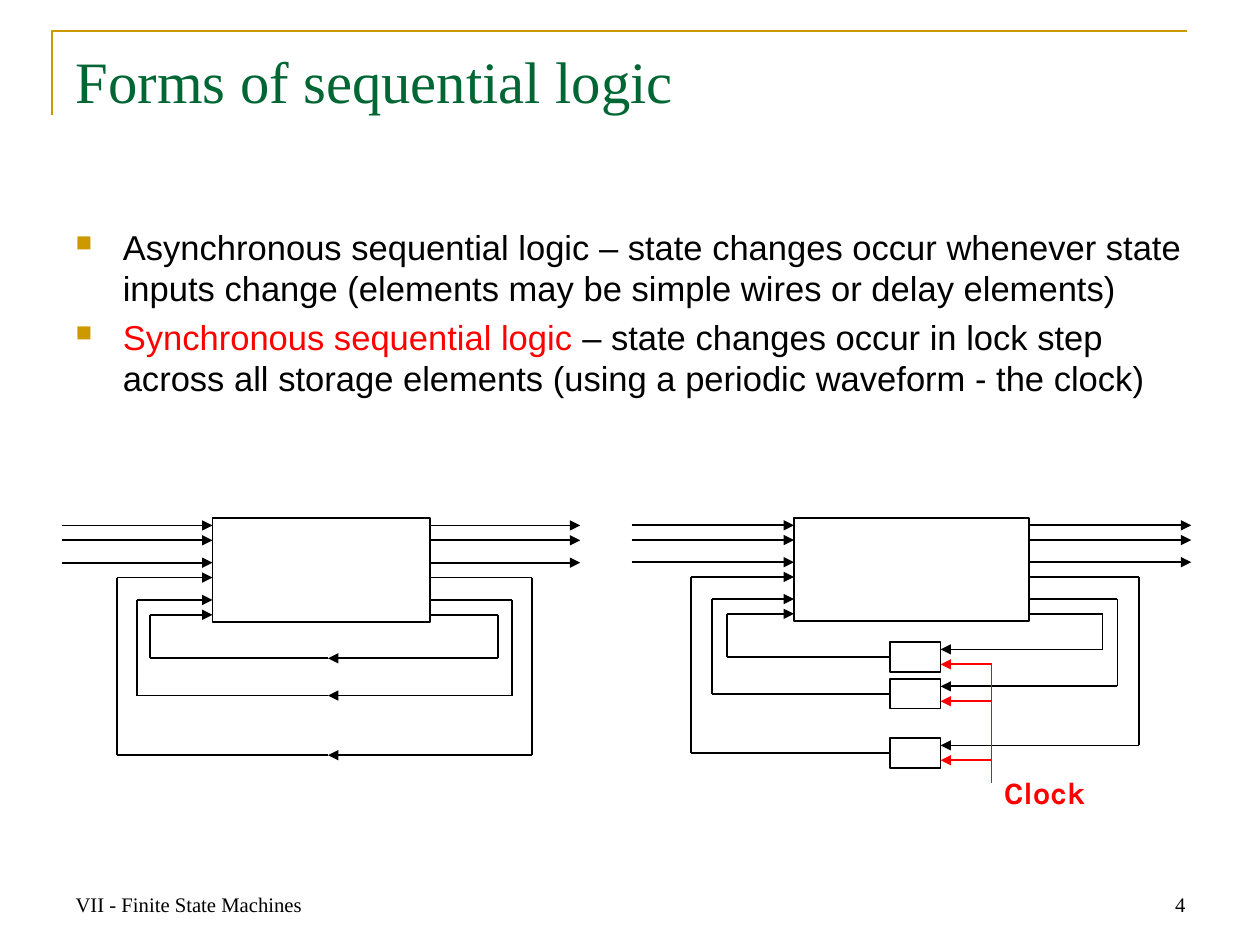
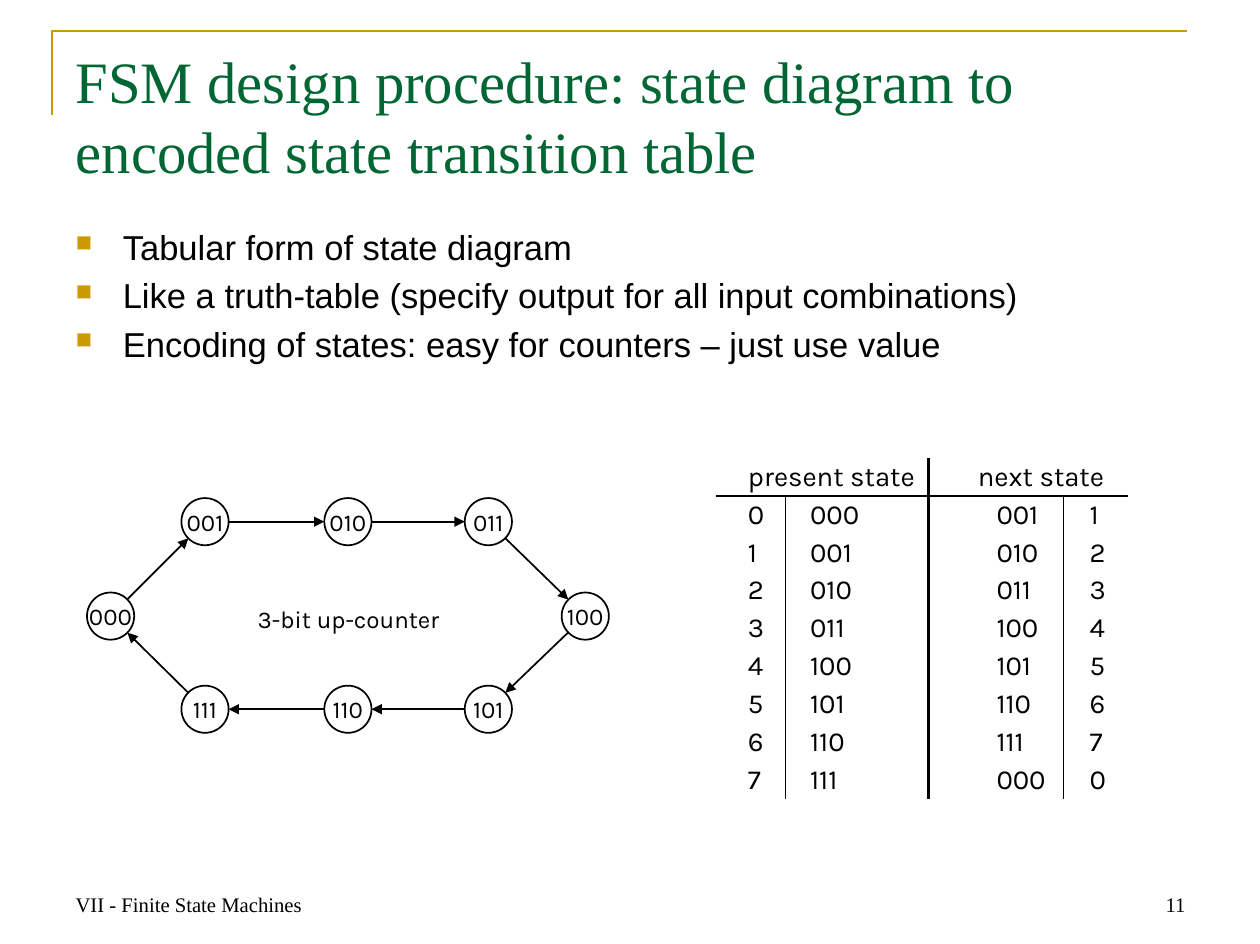
"""Build two slides on sequential logic and finite state machines."""
import math
from dataclasses import dataclass
from typing import Any, NamedTuple, Optional

from lxml import etree
from pptx import Presentation, util as u
from pptx.dml.color import RGBColor
from pptx.enum import shapes, text
from pptx.oxml.ns import qn

CELL = u.Inches(0.1)
COLS, ROWS = 101.4, 76
GOLD = RGBColor(0xCC, 0x99, 0x00)
GREEN = RGBColor(0x00, 0x66, 0x33)
RED = RGBColor(0xFF, 0x00, 0x00)
BLACK = RGBColor(0x00, 0x00, 0x00)
WHITE = RGBColor(0xFF, 0xFF, 0xFF)
SERIF, SANS, HAND = "Times New Roman", "Arial", "Karla"
LEFT, CENTER, RIGHT = text.PP_ALIGN.LEFT, text.PP_ALIGN.CENTER, text.PP_ALIGN.RIGHT
TOP, MIDDLE, BOTTOM = text.MSO_ANCHOR.TOP, text.MSO_ANCHOR.MIDDLE, text.MSO_ANCHOR.BOTTOM
RECT, OVAL = shapes.MSO_SHAPE.RECTANGLE, shapes.MSO_SHAPE.OVAL


class Font(NamedTuple):
    name: str
    size: int
    color: RGBColor = BLACK
    bold: bool = False


class Box(NamedTuple):
    col: float
    row: float
    cols: float
    rows: float


class Point(NamedTuple):
    col: float
    row: float


@dataclass
class Circuit:
    box_left: float
    box_width: float
    scale_x: float = 1.0
    scale_y: float = 1.0
    clocked: bool = False


@dataclass
class Loop:
    port: float
    depth: float
    left: float
    right: float


@dataclass
class Column:
    width: float
    indent: float
    values: list[str]
    rule: float = 0


TITLE = Font(SERIF, 34, GREEN)
BODY = Font(SANS, 20)
FOOTER = Font(SERIF, 12)
CLOCK = Font(HAND, 18, RED, True)
STATE = Font(HAND, 14)
ENTRY = Font(HAND, 16)

CIRCUIT_ROW, BOX_HEIGHT, WIRE = 41.7, 8.4, 12.1
SIGNALS = (0.6, 1.8, 3.6)
LOOPS = [Loop(4.8, 19.1, 7.7, 8.2), Loop(6.6, 14.3, 6.1, 6.6), Loop(7.8, 11.3, 5, 5.5)]
CIRCUITS = [Circuit(17.1, 17.5), Circuit(63.9, 18.9, 1.08, 0.99, True)]

TOP_ROW, MID_ROW, LOW_ROW = 42, 49.6, 57.1
STATES = {
    "000": Point(8.9, MID_ROW), "001": Point(16.5, TOP_ROW),
    "010": Point(28, TOP_ROW), "011": Point(39.3, TOP_ROW),
    "100": Point(47.1, MID_ROW), "101": Point(39.3, LOW_ROW),
    "110": Point(28, LOW_ROW), "111": Point(16.5, LOW_ROW),
}
RADIUS = 1.9


def cells(*values: float) -> list[int]:
    return [round(v * CELL) for v in values]


def add_run(p: Any, words: str, font: Font) -> None:
    r = p.add_run()
    r.text = words
    for name, value in {"name": font.name, "size": u.Pt(font.size), "bold": font.bold}.items():
        setattr(r.font, name, value)
    r.font.color.rgb = font.color


def format_frame(tf: Any, anchor: Any = TOP, margins: tuple = (1, 0.5), wrap: bool = True) -> None:
    side, edge = cells(*margins)
    values = {"word_wrap": wrap, "auto_size": text.MSO_AUTO_SIZE.NONE, "vertical_anchor": anchor,
              "margin_left": side, "margin_right": side, "margin_top": edge, "margin_bottom": edge}
    for name, value in values.items():
        setattr(tf, name, value)


def add_text(s: Any, box: Box, words: str, font: Font, align: Any = LEFT, anchor: Any = TOP) -> None:
    tf = s.shapes.add_textbox(*cells(*box)).text_frame
    format_frame(tf, anchor)
    tf.paragraphs[0].alignment = align
    add_run(tf.paragraphs[0], words, font)


def add_outline(s: Any, kind: Any, box: Box, fill: Optional[RGBColor] = None) -> Any:
    sp = s.shapes.add_shape(kind, *cells(*box))
    sp.shadow.inherit = False
    if fill is None:
        sp.fill.background()
    else:
        sp.fill.solid()
        sp.fill.fore_color.rgb = fill
    sp.line.color.rgb = BLACK
    sp.line.width = u.Pt(1)
    return sp


def add_line(s: Any, start: Point, end: Point, arrow: bool = False, color: RGBColor = BLACK) -> Any:
    line = s.shapes.add_connector(shapes.MSO_CONNECTOR.STRAIGHT, *cells(*start, *end))
    line.line.color.rgb = color
    line.line.width = u.Pt(1)
    props = line._element.spPr
    if arrow:
        etree.SubElement(props.find(qn("a:ln")), qn("a:tailEnd"), type="triangle")
    etree.SubElement(props, qn("a:effectLst"))
    return line


def add_base(prs: Any, title: str, number: int) -> Any:
    s = prs.slides.add_slide(prs.slide_layouts[5])
    builder = s.shapes.build_freeform(*cells(4.2, 9.3), scale=1.0)
    builder.add_line_segments([cells(4.2, 2.5), cells(95.5, 2.5)], close=False)
    frame = builder.convert_to_shape()
    frame.shadow.inherit = False
    frame.fill.background()
    frame.line.color.rgb = GOLD
    frame.line.width = u.Pt(1.5)

    sp = s.shapes.title
    sp.left, sp.top, sp.width, sp.height = cells(5.1, 3.1, 91.2, 12.6)
    format_frame(sp.text_frame)
    p = sp.text_frame.paragraphs[0]
    p.alignment = LEFT
    add_run(p, title, TITLE)

    add_text(s, Box(5.1, 69.2, 23.7, 5.1), "VII - Finite State Machines", FOOTER, anchor=BOTTOM)
    add_text(s, Box(72.7, 69.2, 23.7, 5.1), str(number), FOOTER, RIGHT, BOTTOM)
    return s


def add_bullets(s: Any, bullets: list[list[tuple[str, RGBColor]]]) -> None:
    tf = s.shapes.add_textbox(*cells(5.1, 17.7, 91.2, 50.2)).text_frame
    format_frame(tf)
    for i, parts in enumerate(bullets):
        p = tf.add_paragraph() if i else tf.paragraphs[0]
        p.space_before = u.Pt(4 if i else 0)
        props = p._p.get_or_add_pPr()
        indent = cells(3.8)[0]
        props.set("marL", str(indent))
        props.set("indent", str(-indent))
        tint = etree.SubElement(props, qn("a:buClr"))
        etree.SubElement(tint, qn("a:srgbClr"), val=str(GOLD))
        etree.SubElement(props, qn("a:buSzPct"), val="65000")
        etree.SubElement(props, qn("a:buChar"), char="■")
        for words, color in parts:
            add_run(p, words, BODY._replace(color=color))


def draw_circuit(s: Any, c: Circuit) -> None:
    box_right = c.box_left + c.box_width
    wire = WIRE * c.scale_x
    add_outline(s, RECT, Box(c.box_left, CIRCUIT_ROW, c.box_width, BOX_HEIGHT * c.scale_y))
    for signal in SIGNALS:
        row = CIRCUIT_ROW + signal * c.scale_y
        for col in (c.box_left - wire, box_right):
            add_line(s, Point(col, row), Point(col + wire, row), True)
    for loop in LOOPS:
        port = CIRCUIT_ROW + loop.port * c.scale_y
        depth = CIRCUIT_ROW + loop.depth * c.scale_y
        left = c.box_left - loop.left * c.scale_x
        right = box_right + loop.right * c.scale_x
        back = depth - 0.6 if c.clocked else depth
        middle = 75.7 if c.clocked else 26.4
        add_line(s, Point(box_right, port), Point(right, port))
        add_line(s, Point(right, port), Point(right, back))
        add_line(s, Point(right, back), Point(middle, back), True)
        out = add_line(s, Point(left, depth), Point(middle, depth))
        add_line(s, Point(left, depth), Point(left, port))
        add_line(s, Point(left, port), Point(c.box_left, port), True)
        if c.clocked:
            register = add_outline(s, RECT, Box(71.6, depth - 1.2, 4.1, 2.4))
            out.end_connect(register, 1)
            add_line(s, Point(79.8, depth + 0.6), Point(middle, depth + 0.6), True, RED)
    if c.clocked:
        first = CIRCUIT_ROW + LOOPS[-1].depth * c.scale_y + 0.6
        add_line(s, Point(79.8, first), Point(79.8, 63), color=RED)
        add_text(s, Box(79.8, 61.8, 12, 4), "Clock", CLOCK)


def draw_states(s: Any) -> None:
    for name, at in STATES.items():
        box = Box(at.col - RADIUS, at.row - RADIUS, 2 * RADIUS, 2 * RADIUS)
        tf = add_outline(s, OVAL, box, WHITE).text_frame
        format_frame(tf, MIDDLE, (0, 0), False)
        tf.paragraphs[0].alignment = CENTER
        add_run(tf.paragraphs[0], name, STATE)
    ring = list(STATES.values())
    for a, b in zip(ring, ring[1:] + ring[:1]):
        reach = RADIUS / math.dist(a, b)
        dx, dy = (b.col - a.col) * reach, (b.row - a.row) * reach
        add_line(s, Point(a.col + dx, a.row + dy), Point(b.col - dx, b.row - dy), True)
    add_text(s, Box(18, 48, 20.1, 3.6), "3-bit up-counter", STATE, CENTER, MIDDLE)


def set_borders(cell: Any, widths: dict[str, float]) -> None:
    props = cell._tc.get_or_add_tcPr()
    for side in ("lnL", "lnR", "lnT", "lnB"):
        width = widths.get(side, 0)
        ln = etree.SubElement(props, qn(f"a:{side}"), w=str(u.Pt(width)))
        if width:
            fill = etree.SubElement(ln, qn("a:solidFill"))
            etree.SubElement(fill, qn("a:srgbClr"), val=str(BLACK))
        else:
            etree.SubElement(ln, qn("a:noFill"))


def add_transitions(s: Any) -> None:
    codes = list(STATES)
    digits = [str(i) for i in range(len(codes))]
    columns = [
        Column(5.6, 2.6, ["present state"] + digits, 1),
        Column(11.5, 2, [""] + codes, 2),
        Column(10.9, 5.5, ["next state"] + codes[1:] + codes[:1], 1),
        Column(5.2, 2.1, [""] + digits[1:] + digits[:1]),
    ]
    count, pitch = len(codes) + 1, 3.05
    width = sum(c.width for c in columns)
    table = s.shapes.add_table(count, len(columns), *cells(57.6, 36.9, width, count * pitch)).table
    table.first_row = table.horz_banding = False
    for row in table.rows:
        row.height = cells(pitch)[0]
    for j, column in enumerate(columns):
        table.columns[j].width = cells(column.width)[0]
        before = columns[j - 1].rule if j else 0
        for i, value in enumerate(column.values):
            cell = table.cell(i, j)
            left, right = (before, column.rule) if i else (2 * (j == 2), 2 * (j == 1))
            set_borders(cell, {"lnL": left, "lnR": right, "lnT": i == 1, "lnB": i == 0})
            cell.fill.background()
            indent = column.indent if i or j == 0 else 4
            values = {"margin_left": cells(indent)[0], "margin_right": 0, "margin_top": 0,
                      "margin_bottom": 0, "vertical_anchor": MIDDLE}
            for name, setting in values.items():
                setattr(cell, name, setting)
            add_run(cell.text_frame.paragraphs[0], value, ENTRY)
    for j in (0, 2):
        table.cell(0, j).merge(table.cell(0, j + 1))
        set_header_edge = table.cell(0, j)._tc.tcPr.find(qn("a:lnR"))
        if j == 0:
            source = table.cell(0, 1)._tc.tcPr.find(qn("a:lnR"))
            set_header_edge.getparent().replace(set_header_edge, etree.fromstring(etree.tostring(source)))


def main() -> None:
    prs = Presentation()
    prs.slide_width, prs.slide_height = cells(COLS, ROWS)

    s = add_base(prs, "Forms of sequential logic", 4)
    add_bullets(s, [
        [("Asynchronous sequential logic – state changes occur whenever state inputs change "
          "(elements may be simple wires or delay elements)", BLACK)],
        [("Synchronous sequential logic ", RED),
         ("– state changes occur in lock step across all storage elements "
          "(using a periodic waveform - the clock)", BLACK)],
    ])
    for circuit in CIRCUITS:
        draw_circuit(s, circuit)

    s = add_base(prs, "FSM design procedure: state diagram to encoded state transition table", 11)
    add_bullets(s, [[(line, BLACK)] for line in (
        "Tabular form of state diagram",
        "Like a truth-table (specify output for all input combinations)",
        "Encoding of states: easy for counters – just use value")])
    draw_states(s)
    add_transitions(s)
    prs.save("out.pptx")


if __name__ == "__main__":
    main()
